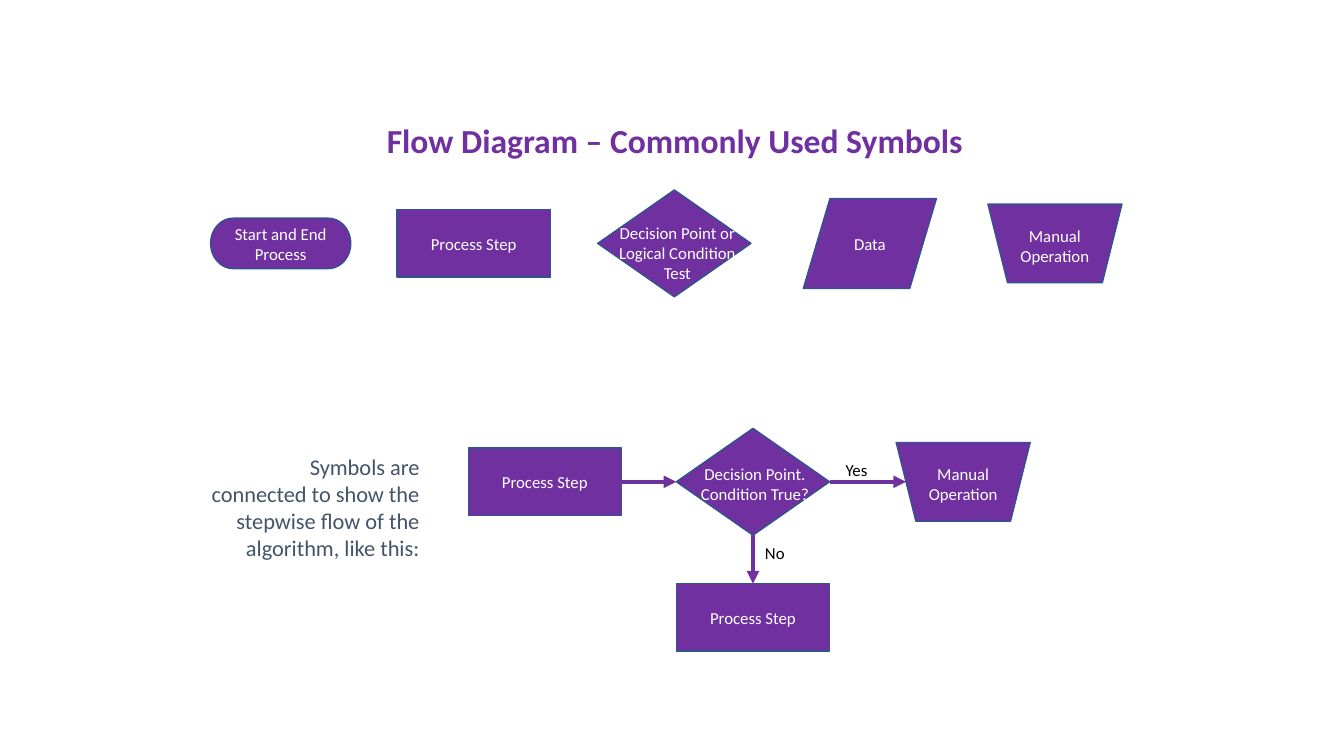
from lxml import etree
from pptx import Presentation
from pptx import util as u
from pptx.dml.color import RGBColor
from pptx.enum import shapes, text
from pptx.oxml.ns import qn

PURPLE = RGBColor(0x70, 0x30, 0xA0)
OUTLINE = RGBColor(0x31, 0x53, 0x8F)
SLATE = RGBColor(0x44, 0x54, 0x6A)
WHITE = RGBColor(0xFF, 0xFF, 0xFF)
BLACK = RGBColor(0, 0, 0)
COLUMNS, ROWS = 133.33, 75
KIND = shapes.MSO_SHAPE
ALIGN = text.PP_ALIGN
ANCHOR = text.MSO_ANCHOR
SIZES = {
    KIND.FLOWCHART_TERMINATOR: (13.9, 5),
    KIND.FLOWCHART_PROCESS: (15.2, 6.7),
    KIND.FLOWCHART_DECISION: (15.2, 10.6),
    KIND.FLOWCHART_DATA: (13.2, 8.9),
    KIND.TRAPEZOID: (13.3, 7.8),
}


class FlowSlide:
    """Draws flow diagram elements on a slide measured in grid columns and rows."""

    def __init__(self, deck):
        deck.slide_width, deck.slide_height = u.Inches(13.33), u.Inches(7.5)
        self.column = deck.slide_width / COLUMNS
        self.row = deck.slide_height / ROWS
        self.slide = deck.slides.add_slide(deck.slide_layouts[5])

    def box(self, left, top, width, height):
        return (round(left * self.column), round(top * self.row),
                round(width * self.column), round(height * self.row))

    def fill_text(self, frame, words, size, color, align, anchor, bold=False):
        frame.word_wrap = True
        frame.vertical_anchor = anchor
        frame.text = words
        line = frame.paragraphs[0]
        line.alignment = align
        line.font.name, line.font.size = "Calibri", u.Pt(size)
        line.font.bold, line.font.color.rgb = bold, color
        return line

    def title(self, words, *area):
        heading = self.slide.shapes.title
        heading.left, heading.top, heading.width, heading.height = self.box(*area)
        line = self.fill_text(heading.text_frame, words, 24, PURPLE, ALIGN.CENTER,
                              ANCHOR.MIDDLE, bold=True)
        line.line_spacing = 0.9

    def label(self, words, area, size=12, color=BLACK, align=ALIGN.LEFT,
              anchor=ANCHOR.TOP):
        note = self.slide.shapes.add_textbox(*self.box(*area))
        self.fill_text(note.text_frame, words, size, color, align, anchor)

    def symbol(self, kind, words, x, y, shift=None):
        width, height = SIZES[kind]
        left, top = x - width / 2, y - height / 2
        outline = self.slide.shapes.add_shape(kind, *self.box(left, top, width, height))
        outline.shadow.inherit = False
        outline.fill.solid()
        outline.fill.fore_color.rgb = PURPLE
        outline.line.color.rgb, outline.line.width = OUTLINE, u.Pt(1)
        if kind == KIND.TRAPEZOID:
            outline.rotation = 180
        if shift:
            across, down = shift
            self.label(words, (left + across, top + down, width, height),
                       color=WHITE, align=ALIGN.CENTER, anchor=ANCHOR.MIDDLE)
        else:
            self.fill_text(outline.text_frame, words, 12, WHITE, ALIGN.CENTER, ANCHOR.MIDDLE)

    def arrow(self, start, end):
        link = self.slide.shapes.add_connector(
            shapes.MSO_CONNECTOR.STRAIGHT, *self.box(*start, *end))
        link.line.color.rgb, link.line.width = PURPLE, u.Pt(3)
        properties = link._element.spPr
        etree.SubElement(properties.find(qn("a:ln")), qn("a:tailEnd"), type="triangle")
        etree.SubElement(properties, qn("a:effectLst"))


def main():
    deck = Presentation()
    page = FlowSlide(deck)
    page.title("Flow Diagram – Commonly Used Symbols", 27.6, 11.8, 78.7, 4.6)

    legend_row = 24.15
    manual_shift = (0, 0.2)
    for kind, words, x, shift in (
        (KIND.FLOWCHART_TERMINATOR, "Start and End Process", 27.85, None),
        (KIND.FLOWCHART_PROCESS, "Process Step", 47, None),
        (KIND.FLOWCHART_DECISION, "Decision Point or Logical Condition Test", 66.9, (0.3, 0.9)),
        (KIND.FLOWCHART_DATA, "Data", 86.3, None),
        (KIND.TRAPEZOID, "Manual Operation", 104.65, manual_shift),
    ):
        page.symbol(kind, words, x, legend_row, shift)

    page.label("Symbols are connected to show the stepwise flow of the algorithm, like this:",
               (20, 44.5, 22.6, 14.5), size=16, color=SLATE, align=ALIGN.RIGHT)

    flow_row, next_row = 47.8, 61.25
    step_x, decision_x, manual_x = 54.05, 74.7, 95.55
    page.symbol(KIND.FLOWCHART_PROCESS, "Process Step", step_x, flow_row)
    page.symbol(KIND.FLOWCHART_DECISION, "Decision Point. Condition True?",
                decision_x, flow_row, (0.2, 0.2))
    page.symbol(KIND.TRAPEZOID, "Manual Operation", manual_x, flow_row, manual_shift)
    page.symbol(KIND.FLOWCHART_PROCESS, "Process Step", decision_x, next_row)

    step_width, step_height = SIZES[KIND.FLOWCHART_PROCESS]
    decision_width, decision_height = SIZES[KIND.FLOWCHART_DECISION]
    manual_width, manual_height = SIZES[KIND.TRAPEZOID]
    manual_edge = manual_x - manual_width / 2 + manual_height / 8
    page.arrow((step_x + step_width / 2, flow_row),
               (decision_x - decision_width / 2, flow_row))
    page.arrow((decision_x + decision_width / 2, flow_row), (manual_edge, flow_row))
    page.arrow((decision_x, flow_row + decision_height / 2),
               (decision_x, next_row - step_height / 2))
    page.label("Yes", (82.9, 45.1, 5.3, 3))
    page.label("No", (74.9, 53.4, 4.2, 3))
    deck.save("out.pptx")


if __name__ == "__main__":
    main()
